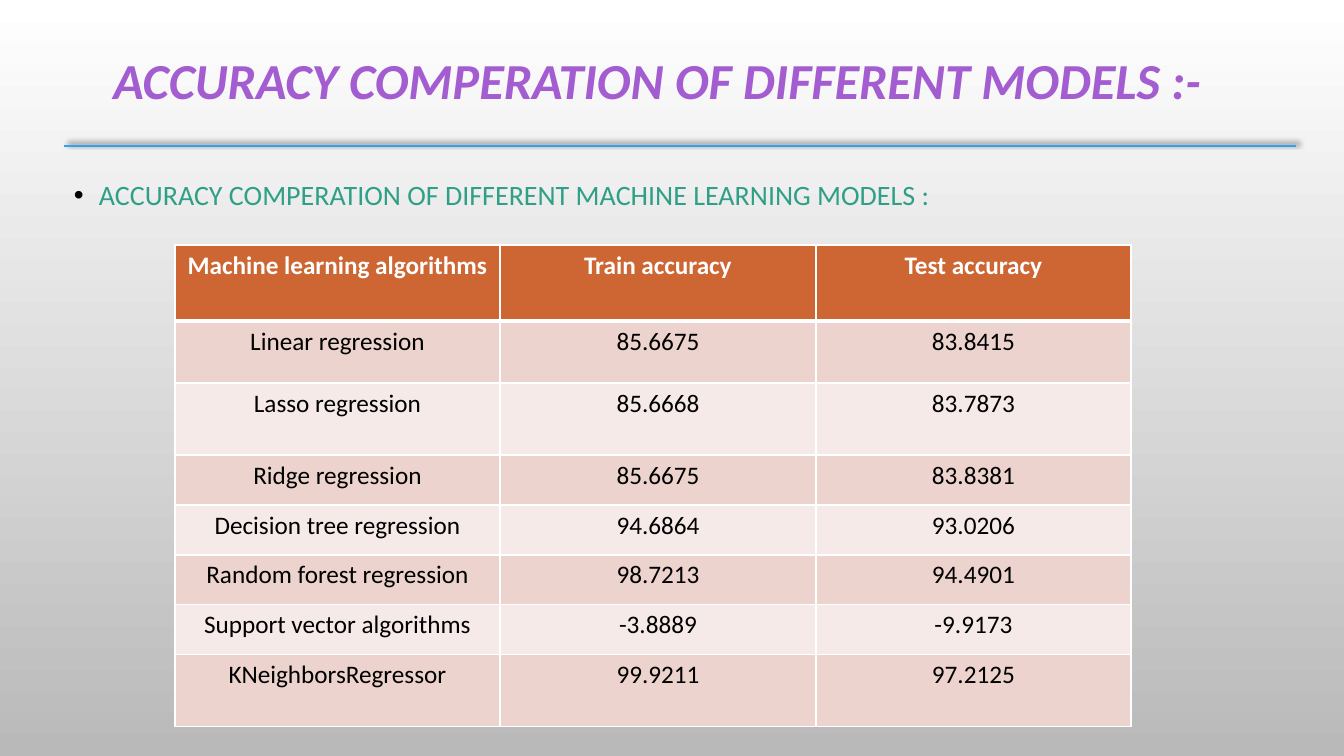
from lxml import etree
from pptx import Presentation
from pptx.dml.color import RGBColor
from pptx.enum.shapes import MSO_CONNECTOR as Connector
from pptx.enum.text import MSO_ANCHOR as Anchor, PP_ALIGN as Align
from pptx.oxml.ns import qn
from pptx.util import Pt

# Content
TITLE = "ACCURACY COMPERATION OF DIFFERENT MODELS :-"
SUBTITLE = "ACCURACY COMPERATION OF DIFFERENT MACHINE LEARNING MODELS :"
ROWS = [
    ("Machine learning algorithms", "Train accuracy", "Test accuracy"),
    ("Linear regression", "85.6675", "83.8415"),
    ("Lasso regression", "85.6668", "83.7873"),
    ("Ridge regression", "85.6675", "83.8381"),
    ("Decision tree regression", "94.6864", "93.0206"),
    ("Random forest regression", "98.7213", "94.4901"),
    ("Support vector algorithms", "-3.8889", "-9.9173"),
    ("KNeighborsRegressor", "99.9211", "97.2125"),
]

# Layout in px
SLIDE_SIZE = (1344, 756)
TITLE_BOX = (64, 0, 1187, 166)
BODY_BOX = (64, 166, 1187, 515)
RULE = (64, 146, 1296, 146)
TABLE_CORNER = (175, 245)
COLUMN_WIDTHS = (325, 316, 315)
ROW_HEIGHTS = (76, 62, 72, 50, 50, 50, 50, 72)
BULLET_INDENT = 25

FONT = "Calibri"
HEADER_FILL = "CE6633"
BAND_FILLS = ("F6EAE8", "EDD3CE")


def px(length):
    return round(length * 914400 / 100.8)


def color(value):
    return RGBColor.from_string(value)


def child(parent, tag, **attributes):
    return etree.SubElement(parent, qn(tag), attributes)


def add_run(paragraph, text, size, fill, bold=False, italic=False):
    run = paragraph.add_run()
    run.text = text
    font = run.font
    font.name, font.size, font.bold, font.italic = FONT, Pt(size), bold, italic
    font.color.rgb = color(fill)


def add_text_box(slide, box, anchor):
    frame = slide.shapes.add_textbox(*map(px, box)).text_frame
    frame.word_wrap = True
    frame.vertical_anchor = anchor
    return frame.paragraphs[0]


def add_border(cell, side, points):
    line = child(cell._tc.get_or_add_tcPr(), f"a:ln{side}", w=str(Pt(points)))
    child(child(line, "a:solidFill"), "a:srgbClr", val="FFFFFF")


presentation = Presentation()
presentation.slide_width, presentation.slide_height = map(px, SLIDE_SIZE)
slide = presentation.slides.add_slide(presentation.slide_layouts[6])

# Background
background = slide.background.fill
background.gradient()
background.gradient_angle = 270
for stop, shade in zip(background.gradient_stops, ("FFFFFF", "B9B9B9")):
    stop.color.rgb = color(shade)

# Title
paragraph = add_text_box(slide, TITLE_BOX, Anchor.MIDDLE)
paragraph.alignment = Align.CENTER
paragraph.line_spacing = 0.9
add_run(paragraph, TITLE, 36, "A35DD1", bold=True, italic=True)

# Bulleted subtitle
paragraph = add_text_box(slide, BODY_BOX, Anchor.TOP)
paragraph.line_spacing = 1.2
paragraph.space_before = Pt(10)
add_run(paragraph, SUBTITLE, 20, "2FA087")
properties = paragraph._p.get_or_add_pPr()
properties.set("marL", str(px(BULLET_INDENT)))
properties.set("indent", str(-px(BULLET_INDENT)))
child(child(properties, "a:buClr"), "a:srgbClr", val="000000")
child(properties, "a:buFont", typeface="Arial")
child(properties, "a:buChar", char="•")

# Rule with a soft shadow
rule = slide.shapes.add_connector(Connector.STRAIGHT, *map(px, RULE))
rule.line.color.rgb = color("2FA3EE")
rule.line.width = Pt(1.75)
effects = child(rule._element.spPr, "a:effectLst")
shadow = child(effects, "a:outerShdw", blurRad=str(Pt(4)), dist=str(Pt(3)),
               dir=str(315 * 60000), algn="bl", rotWithShape="0")
child(child(shadow, "a:srgbClr", val="000000"), "a:alpha", val="40000")

# Accuracy table
table = slide.shapes.add_table(
    len(ROWS), len(COLUMN_WIDTHS), *map(px, TABLE_CORNER),
    px(sum(COLUMN_WIDTHS)), px(sum(ROW_HEIGHTS))).table
for column, width in zip(table.columns, COLUMN_WIDTHS):
    column.width = px(width)
for r, (texts, height) in enumerate(zip(ROWS, ROW_HEIGHTS)):
    table.rows[r].height = px(height)
    header = r == 0
    for c, text in enumerate(texts):
        cell = table.cell(r, c)
        for side in "LRTB":
            thick = (r, side) in ((0, "B"), (1, "T"))
            add_border(cell, side, 3 if thick else 1)
        cell.fill.solid()
        cell.fill.fore_color.rgb = color(HEADER_FILL if header else BAND_FILLS[r % 2])
        paragraph = cell.text_frame.paragraphs[0]
        paragraph.alignment = Align.CENTER
        add_run(paragraph, text, 18, "FFFFFF" if header else "000000", bold=header)

presentation.save("out.pptx")
